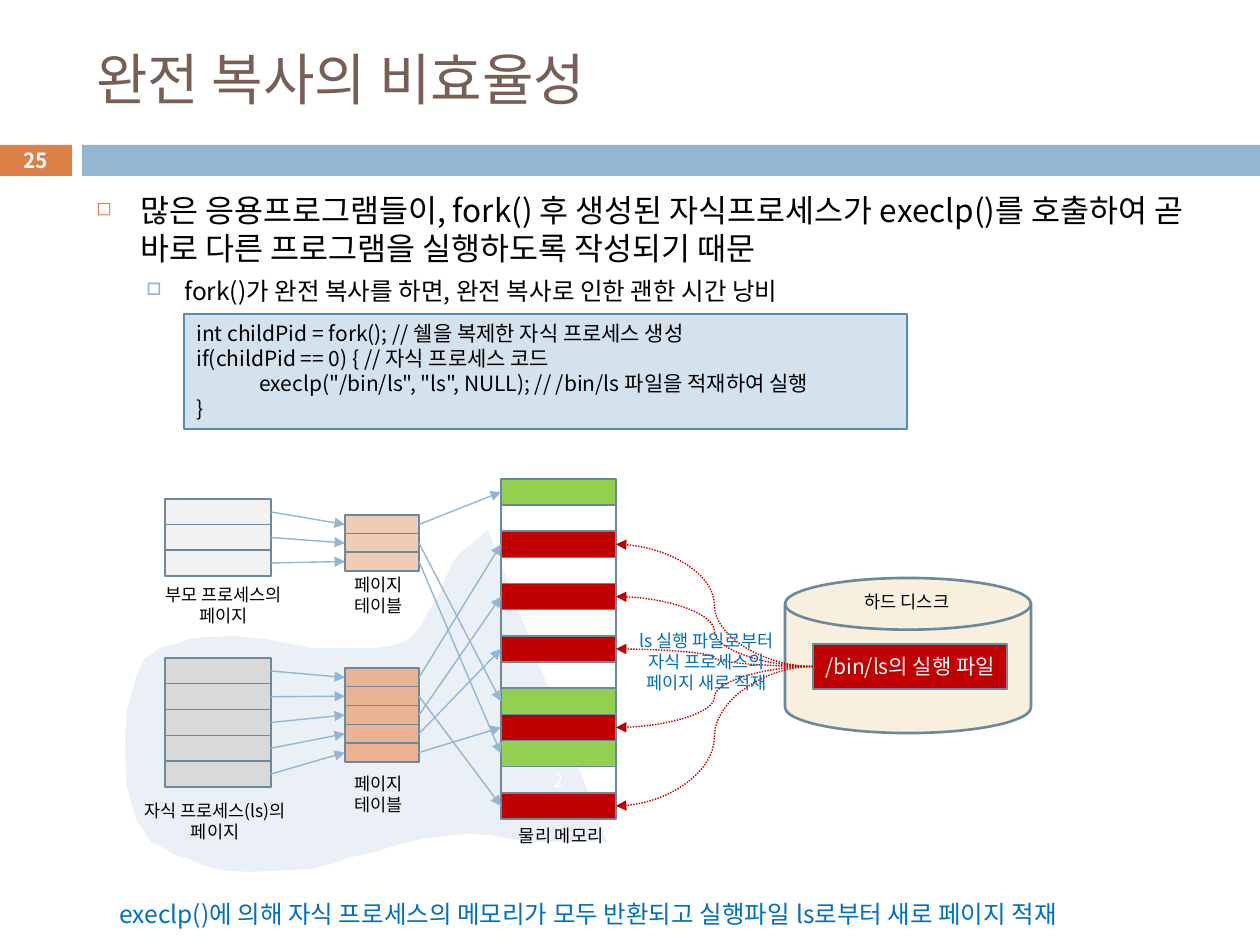
from dataclasses import dataclass

from lxml.etree import SubElement
from pptx import Presentation
from pptx.dml.color import RGBColor
from pptx.enum.dml import MSO_LINE
from pptx.enum.shapes import MSO_CONNECTOR, MSO_SHAPE
from pptx.enum.text import MSO_ANCHOR, MSO_AUTO_SIZE, PP_ALIGN
from pptx.oxml.ns import qn
from pptx.util import Emu, Pt


@dataclass(frozen=True)
class Theme:
    font: str = "Noto Sans CJK KR"
    black: str = "000000"
    white: str = "FFFFFF"
    title: str = "775F55"
    orange: str = "DD8047"
    blue: str = "94B6D2"
    note: str = "0070C0"
    outline: str = "6D879B"
    parent_page: str = "F2F2F2"
    child_page: str = "D9D9D9"
    parent_table: str = "F1CCB5"
    child_table: str = "EBB391"
    kept: str = "92D050"
    loaded: str = "C00000"
    disk: str = "F7F0DE"
    child_area: str = "EAF0F6"
    code_fill: str = "D4E2ED"
    code_line: str = "558BB8"
    title_size: float = 32
    body_size: float = 18
    sub_size: float = 14
    code_size: float = 12
    number_size: float = 11.9
    frame_size: float = 10.5
    label_size: float = 10


T = Theme()

# Content: boxes are (left, top, width, height) in px
TITLE = "완전 복사의 비효율성"
SLIDE_NUMBER = "25"
BULLETS = [  # text, size, left margin, hanging indent, space before, mark, mark colour, mark %
    ("많은 응용프로그램들이, fork() 후 생성된 자식프로세스가 execlp()를 호출하여 "
     "곧 바로 다른 프로그램을 실행하도록 작성되기 때문",
     T.body_size, 44, 44, 0, "◻", T.orange, 60),
    ("fork()가 완전 복사를 하면, 완전 복사로 인한 괜한 시간 낭비",
     T.sub_size, 88, 38, 5.5, "□", T.blue, 70),
]
CODE = """int childPid = fork(); // 쉘을 복제한 자식 프로세스 생성
if(childPid == 0) { // 자식 프로세스 코드
\texeclp("/bin/ls", "ls", NULL); // /bin/ls 파일을 적재하여 실행
}"""
SUMMARY = "execlp()에 의해 자식 프로세스의 메모리가 모두 반환되고 실행파일 ls로부터 새로 페이지 적재"
LABELS = [
    ("물리 메모리", (501, 819, 120, 34), T.black),
    ("페이지\n테이블", (340, 568, 78, 55), T.black),
    ("부모 프로세스의\n페이지", (146, 578, 155, 55), T.black),
    ("자식 프로세스(ls)의\n페이지", (123, 794, 184, 55), T.black),
    ("페이지\n테이블", (340, 767, 78, 55), T.black),
    ("하드 디스크", (847, 585, 120, 34), T.black),
    ("ls 실행 파일로부터\n자식 프로세스의\n페이지 새로 적재", (617, 624, 179, 77), T.note),
]
FRAME_COUNT = 13
KEPT_FRAMES = {0, 8, 10}
LOADED_FRAMES = [2, 4, 6, 9, 12]
FRAME_TEXT = {11: "2"}
PROCESSES = [  # page top/span/fill, table top/span/fill, frame of each table entry
    ((499, 51, T.parent_page), (515, 37, T.parent_table), [0, 8, 10]),
    ((658, 103, T.child_page), (668, 75, T.child_table), [2, 12, 4, 6, 9]),
]
CHILD_AREA = [
    (488, 530), (479, 538), (469, 546), (461, 552), (455, 559), (449, 570), (445, 580),
    (441, 590), (435, 601), (426, 616), (420, 627), (411, 637), (399, 644), (378, 648),
    (312, 648), (287, 643), (265, 639), (232, 636), (192, 638), (178, 643), (160, 648),
    (145, 659), (137, 674), (132, 692), (127, 710), (125, 735), (126, 784), (130, 798),
    (136, 819), (142, 828), (151, 842), (162, 847), (175, 855), (190, 859), (204, 866),
    (226, 871), (251, 872), (314, 869), (331, 864), (348, 858), (379, 851), (390, 847),
    (421, 839), (465, 834), (490, 835), (509, 839), (538, 842), (607, 842),
]


def px(value):
    return Emu(round(value * 914400 / 126))


def rgb(value):
    return RGBColor.from_string(value)


def paint(shape, fill=None, line=None, width=0.75):
    shape.shadow.inherit = False
    if fill:
        shape.fill.solid()
        shape.fill.fore_color.rgb = rgb(fill)
    else:
        shape.fill.background()
    if line:
        shape.line.color.rgb = rgb(line)
        shape.line.width = Pt(width)
    else:
        shape.line.fill.background()
    return shape


def box(bounds, fill=None, line=None, kind=MSO_SHAPE.RECTANGLE, width=0.75):
    return paint(slide.shapes.add_shape(kind, *map(px, bounds)), fill, line, width)


def style(paragraph, size, color, bold=False):
    for run in paragraph.runs:
        run.font.size = Pt(size)
        run.font.bold = bold
        run.font.name = T.font
        run.font.color.rgb = rgb(color)
        SubElement(run.font._element, qn("a:ea"), typeface=T.font)


def write(shape, text, size, color, align=PP_ALIGN.LEFT, anchor=MSO_ANCHOR.TOP,
          wrap=True, inset=None, bold=False):
    frame = shape.text_frame
    frame.text = text
    frame.word_wrap = wrap
    frame.vertical_anchor = anchor
    if not wrap:
        frame.auto_size = MSO_AUTO_SIZE.SHAPE_TO_FIT_TEXT
    if inset is not None:
        frame.margin_left = frame.margin_right = px(inset)
        frame.margin_top = frame.margin_bottom = px(inset)
    for paragraph in frame.paragraphs:
        paragraph.alignment = align
        style(paragraph, size, color, bold)
    return frame


def textbox(bounds, *args, **options):
    return write(slide.shapes.add_textbox(*map(px, bounds)), *args, **options)


def stack(left, top, width, height, span, fills):
    step = span / (len(fills) - 1)
    return [box((left, top + step * i, width, height), fill, T.outline)
            for i, fill in enumerate(fills)]


def arrow(start, end, start_site, end_site, color, kind=MSO_CONNECTOR.STRAIGHT):
    link = slide.shapes.add_connector(kind, 0, 0, 0, 0)
    link.begin_connect(start, start_site)
    link.end_connect(end, end_site)
    link.line.color.rgb = rgb(color)
    link.line.width = Pt(0.79)
    if kind == MSO_CONNECTOR.CURVE:
        link.line.dash_style = MSO_LINE.ROUND_DOT
    SubElement(link.line._get_or_add_ln(), qn("a:tailEnd"), type="triangle")
    SubElement(link._element.spPr, qn("a:effectLst"))


presentation = Presentation()
presentation.slide_width, presentation.slide_height = px(1260), px(945)
slide = presentation.slides.add_slide(presentation.slide_layouts[6])

# Header
box((-1, 145, 73, 31), T.orange)
box((82, 145, 1178, 31), T.blue)
textbox((84, 32, 1124, 93), TITLE, T.title_size, T.title, anchor=MSO_ANCHOR.MIDDLE)
textbox((-1, 143, 73, 34), SLIDE_NUMBER, T.number_size, T.white, PP_ALIGN.CENTER,
        MSO_ANCHOR.MIDDLE, bold=True)

# Bullets
body = textbox((84, 185, 1124, 120), "\n".join(item[0] for item in BULLETS),
               T.body_size, T.black)
for paragraph, (_, size, margin, hang, before, mark, color, percent) in zip(
        body.paragraphs, BULLETS):
    props = paragraph._p.get_or_add_pPr()
    props.set("marL", str(px(margin)))
    props.set("indent", str(-px(hang)))
    SubElement(SubElement(props, qn("a:buClr")), qn("a:srgbClr"), val=color)
    SubElement(props, qn("a:buSzPct"), val=str(percent * 1000))
    SubElement(props, qn("a:buChar"), char=mark)
    paragraph.space_before = Pt(before)
    for run in paragraph.runs:
        run.font.size = Pt(size)

# Area of the child process
outline = slide.shapes.build_freeform(*map(px, CHILD_AREA[0]), scale=1.0)
outline.add_line_segments([(px(x), px(y)) for x, y in CHILD_AREA[1:]], close=True)
paint(outline.convert_to_shape(), T.child_area)

# Physical memory
frame_fills = [T.kept if i in KEPT_FRAMES else T.loaded if i in LOADED_FRAMES else None
               for i in range(FRAME_COUNT)]
frames = stack(501, 479, 115, 26, 314, frame_fills)
for index, text in FRAME_TEXT.items():
    write(frames[index], text, T.frame_size, T.white, PP_ALIGN.CENTER,
          MSO_ANCHOR.MIDDLE, inset=0)

# Hard disk
box((785, 578, 246, 155), T.disk, T.outline, MSO_SHAPE.FLOWCHART_MAGNETIC_DISK, 1.5)
program = box((813, 644, 194, 45), T.loaded, T.outline)
write(program, "/bin/ls의 실행 파일", T.code_size, T.white, PP_ALIGN.CENTER,
      MSO_ANCHOR.MIDDLE, inset=0)

# Pages, page tables and their arrows (sites: 1 left, 3 right)
for (page_top, page_span, page_fill), (top, span, fill), targets in PROCESSES:
    pages = stack(165, page_top, 106, 26, page_span, [page_fill] * len(targets))
    entries = stack(345, top, 74, 19, span, [fill] * len(targets))
    for page, entry, target in zip(pages, entries, targets):
        arrow(page, entry, 3, 1, T.blue)
        arrow(entry, frames[target], 3, 1, T.blue)
for index in LOADED_FRAMES:
    arrow(program, frames[index], 1, 3, T.loaded, MSO_CONNECTOR.CURVE)

# Labels, summary and code
for text, bounds, color in LABELS:
    textbox(bounds, text, T.label_size, color, PP_ALIGN.CENTER, wrap=False)
textbox((107, 893, 1101, 43), SUMMARY, T.sub_size, T.note)
write(box((184, 314, 723, 115), T.code_fill, T.code_line), CODE, T.code_size, T.black,
      wrap=False)

presentation.save("out.pptx")
